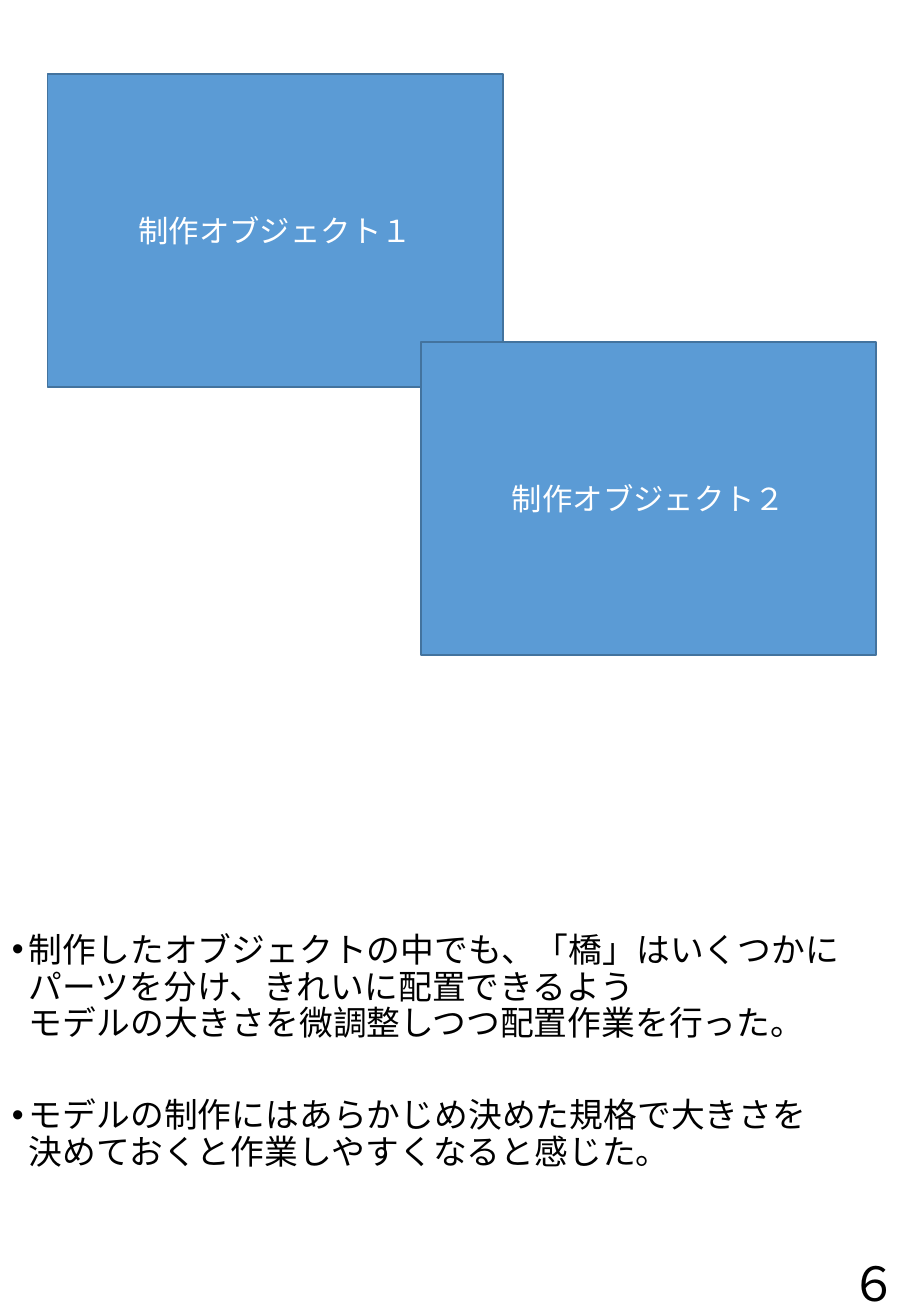
"""Builds a portrait page with two overlapping object frames, notes and a page number."""
import pptx
import pptx.util
import pptx.dml.color
import pptx.enum.shapes
import pptx.enum.text
import pptx.oxml
import pptx.oxml.ns

Pt = pptx.util.Pt
RGB = pptx.dml.color.RGBColor
BLUE = RGB(0x5B, 0x9B, 0xD5)
EDGE = RGB(0x43, 0x73, 0x9E)
WHITE = RGB(0xFF, 0xFF, 0xFF)
BLACK = RGB(0, 0, 0)
FONT = "Noto Sans CJK JP"
WIDE, HIGH = pptx.util.Inches(7.5), pptx.util.Inches(10.83)
ALIGN = pptx.enum.text.PP_ALIGN
MID = pptx.enum.text.MSO_ANCHOR.MIDDLE
RECT = pptx.enum.shapes.MSO_SHAPE.RECTANGLE

FRAMES = ["制作オブジェクト１", "制作オブジェクト２"]
NOTES = [
    "制作したオブジェクトの中でも、「橋」はいくつかに\v"
    "パーツを分け、きれいに配置できるよう\v"
    "モデルの大きさを微調整しつつ配置作業を行った。",
    "モデルの制作にはあらかじめ決めた規格で大きさを\v"
    "決めておくと作業しやすくなると感じた。",
]


def apply(item, style):
    """Set each attribute named in a style."""
    for name, value in style.items():
        setattr(item, name, value)


def area(left, top, width, height):
    """Turn shares of the slide into lengths."""
    return [round(share * side) for share, side in
            zip((left, top, width, height), (WIDE, HIGH) * 2)]


def write(para, text, size, color, style):
    """Fill a paragraph with text in the slide font."""
    para.text = text
    apply(para, style)
    for run in para.runs:
        apply(run.font, {"name": FONT, "size": Pt(size)})
        run.font.color.rgb = color
        east = pptx.oxml.parse_xml(
            f'<a:ea {pptx.oxml.ns.nsdecls("a")} typeface="{FONT}"/>')
        run.font._element.find(pptx.oxml.ns.qn("a:latin")).addnext(east)


def bullet(para):
    """Give a paragraph a hanging round bullet."""
    props = para._p.get_or_add_pPr()
    hang = pptx.util.Inches(0.14)
    props.set("marL", str(hang))
    props.set("indent", str(-hang))
    for tag, key, value in (("buFont", "typeface", "Arial"),
                            ("buChar", "char", "•")):
        props.append(pptx.oxml.parse_xml(
            f'<a:{tag} {pptx.oxml.ns.nsdecls("a")} {key}="{value}"/>'))


def frame(slide, text, place):
    """Draw a blue frame with a centred label."""
    box = slide.shapes.add_shape(RECT, *area(*place))
    box.shadow.inherit = False
    box.fill.solid()
    box.fill.fore_color.rgb = BLUE
    box.line.color.rgb = EDGE
    box.line.width = Pt(1)
    apply(box.text_frame, {"vertical_anchor": MID, "word_wrap": True})
    write(box.text_frame.paragraphs[0], text, 18, WHITE,
          {"alignment": ALIGN.CENTER})


def notes(slide, lines, place):
    """Place the bulleted notes."""
    body = slide.shapes.add_textbox(*area(*place)).text_frame
    body.word_wrap = True
    for index, text in enumerate(lines):
        para = body.add_paragraph() if index else body.paragraphs[0]
        write(para, text, 20, BLACK, {"line_spacing": Pt(21.7),
                                      "space_before": Pt(33 * index)})
        bullet(para)


def number(slide, text, place):
    """Place the page number."""
    body = slide.shapes.add_textbox(*area(*place)).text_frame
    body.word_wrap = False
    write(body.paragraphs[0], text, 28, BLACK, {"line_spacing": Pt(35)})


def main():
    """Build and save the slide."""
    deck = pptx.Presentation()
    apply(deck, {"slide_width": WIDE, "slide_height": HIGH})
    slide = deck.slides.add_slide(deck.slide_layouts[6])
    notes(slide, NOTES, (0, 0.704, 1, 0.222))
    for step, text in enumerate(FRAMES):
        frame(slide, text,
              (0.052 + 0.41 * step, 0.056 + 0.204 * step, 0.5, 0.238))
    number(slide, "６", (0.921, 0.947, 0.079, 0.053))
    deck.save("out.pptx")


if __name__ == "__main__":
    main()
